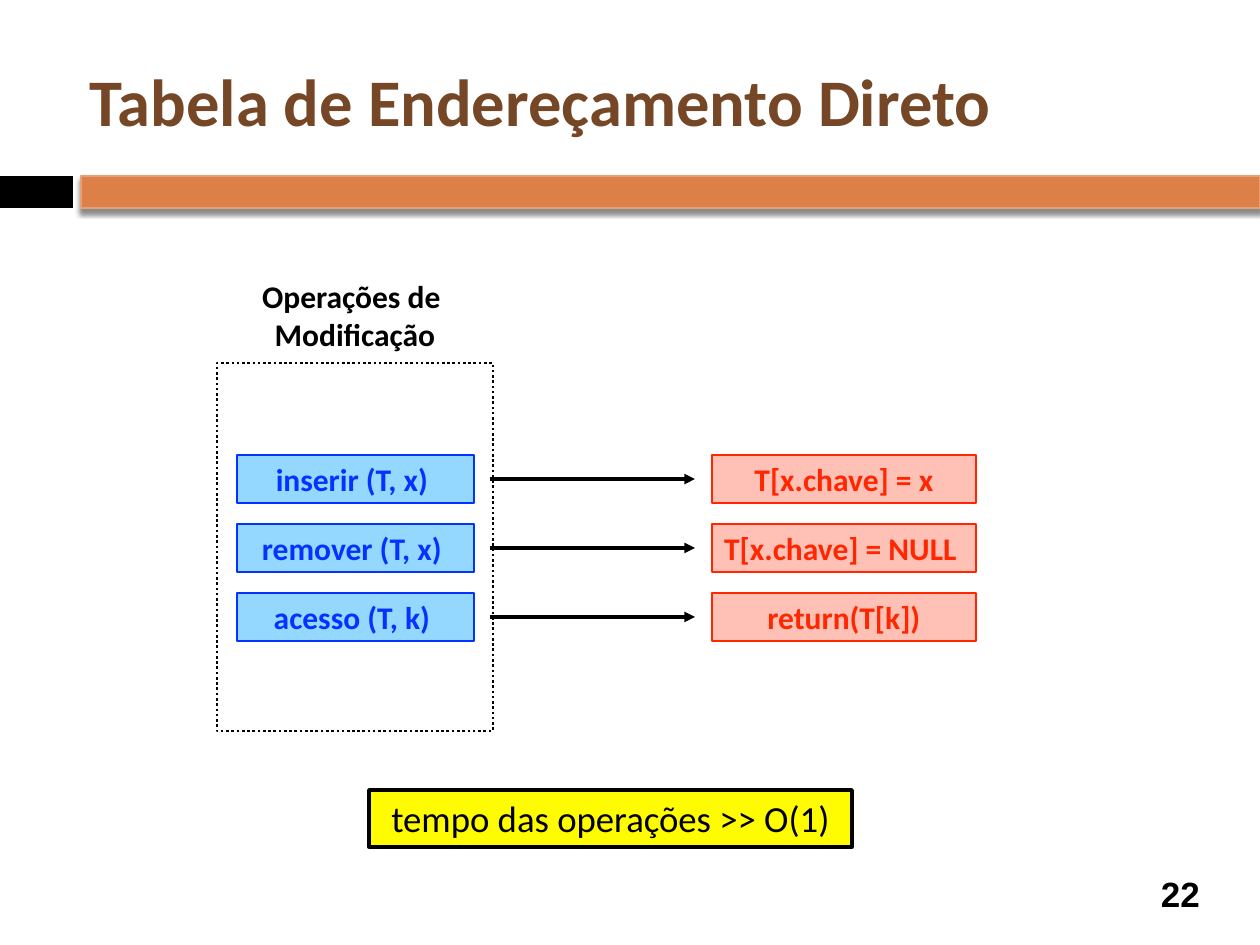
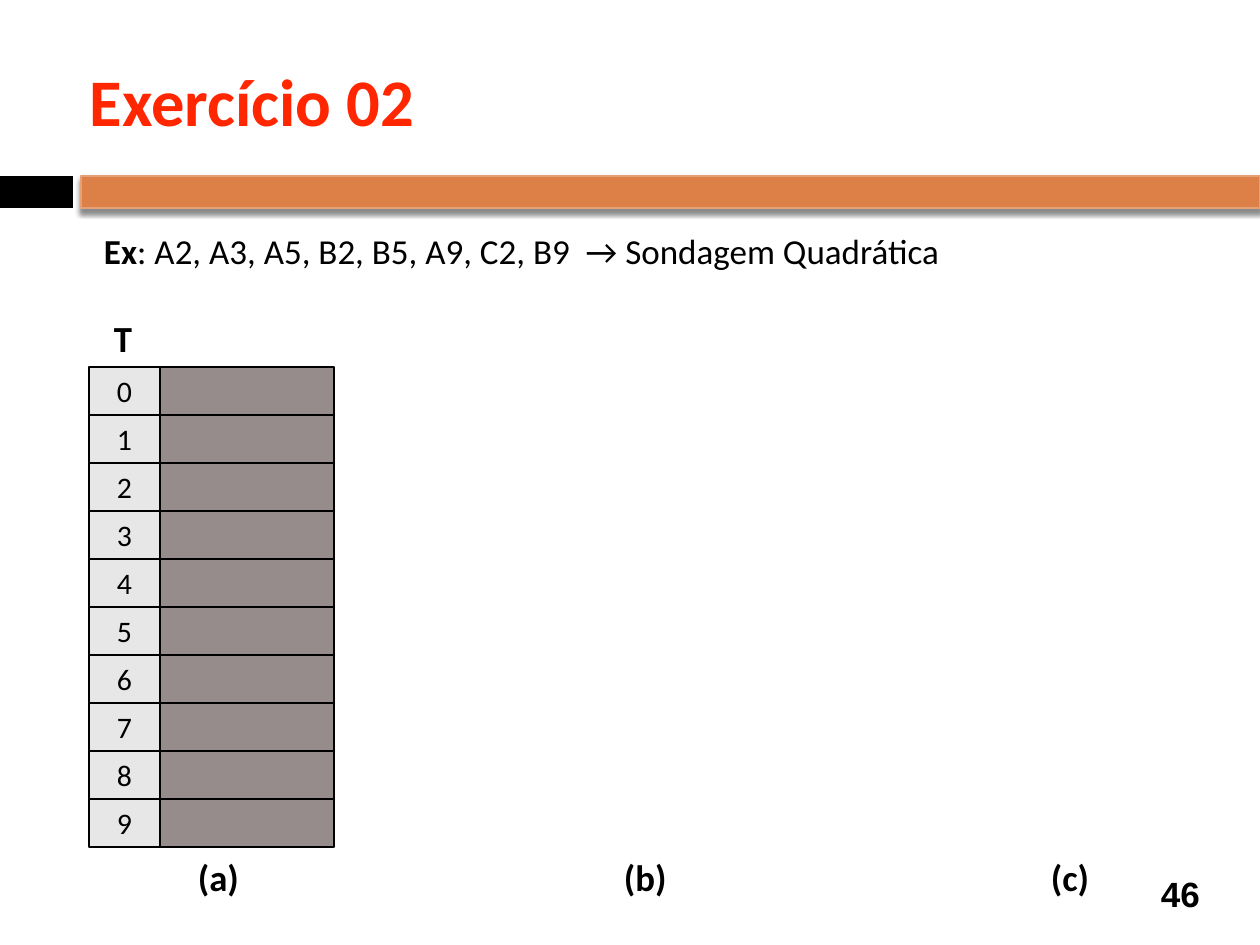
"""Builds two slides on direct-address tables and quadratic probing."""
from lxml.etree import SubElement
from pptx import Presentation
from pptx.dml.color import RGBColor as RGB
from pptx.enum.dml import MSO_LINE
from pptx.enum.shapes import MSO_CONNECTOR as CONN, MSO_SHAPE as SHAPE
from pptx.enum.text import MSO_ANCHOR as ANCHOR, PP_ALIGN as ALIGN
from pptx.oxml.ns import qn
from pptx.util import Pt

PX = 914400 / 126
COLORS = {
    "black": "000000", "band": "DD8047", "band_edge": "E5A075",
    "brown": "754726", "red": "FF2600", "pink": "FFC1B6",
    "blue": "0433FF", "sky": "95D8FF", "yellow": "FFFB00",
    "index": "E7E7E7", "slot": "968C8C",
}
C = {name: RGB.from_string(value) for name, value in COLORS.items()}


def rect(s, at, fill=None, line=None, width=1.5, dash=None):
    sp = s.shapes.add_shape(SHAPE.RECTANGLE, *[round(v * PX) for v in at])
    sp.shadow.inherit = False
    if fill:
        sp.fill.solid()
        sp.fill.fore_color.rgb = C[fill]
    else:
        sp.fill.background()
    if line:
        sp.line.color.rgb = C[line]
        sp.line.width = Pt(width)
        if dash:
            sp.line.dash_style = dash
    else:
        sp.line.fill.background()
    return sp


def write(s, text, at=None, sp=None, size=18, color="black", bold=True, font="Calibri",
          align=ALIGN.CENTER, anchor=ANCHOR.MIDDLE, wrap=True, lead=""):
    sp = sp or s.shapes.add_textbox(*[round(v * PX) for v in at])
    tf = sp.text_frame
    tf.word_wrap = wrap
    tf.vertical_anchor = anchor
    tf.margin_left = tf.margin_right = tf.margin_top = tf.margin_bottom = round(6 * PX)
    for i, line in enumerate(text.split("\n")):
        p = tf.paragraphs[0] if i == 0 else tf.add_paragraph()
        p.alignment = align
        for part, strong in ((lead, True), (line, bold)):
            if part:
                r = p.add_run()
                r.text = part
                r.font.name = font
                r.font.size = Pt(size)
                r.font.bold = strong
                r.font.color.rgb = C[color]


prs = Presentation()
prs.slide_width, prs.slide_height = round(1260 * PX), round(945 * PX)

slides = []
for title, color, number in (("Tabela de Endereçamento Direto", "brown", "22"),
                             ("Exercício 02", "red", "46")):
    s = prs.slides.add_slide(prs.slide_layouts[6])
    rect(s, (0, 176, 73, 32), "black")
    band = rect(s, (81, 176, 1179, 32), "band", "band_edge")
    effects = band._element.spPr.find(qn("a:effectLst"))
    shadow = SubElement(effects, qn("a:outerShdw"), blurRad="38100", dist="30480",
                        dir="5400000", rotWithShape="0")
    tint = SubElement(shadow, qn("a:srgbClr"), val=COLORS["black"])
    SubElement(tint, qn("a:alpha"), val="45000")
    write(s, title, (84, 32, 1124, 136), size=38, color=color, align=ALIGN.LEFT)
    write(s, number, (1144, 868, 73, 52), size=20, font="Arial")
    slides.append(s)

s = slides[0]
rect(s, (217, 363, 276, 368), line="black", dash=MSO_LINE.ROUND_DOT)
write(s, "Operações de \nModificação", (140, 271, 430, 79), anchor=ANCHOR.TOP)
operations = (("inserir (T, x) ", "T[x.chave] = x"),
              ("remover (T, x) ", "T[x.chave] = NULL "),
              ("acesso (T, k) ", "return(T[k])"))
for i, (operation, code) in enumerate(operations):
    y = 455 + 69 * i
    write(s, operation, sp=rect(s, (237, y, 237, 48), "sky", "blue"), color="blue")
    write(s, code, sp=rect(s, (712, y, 264, 48), "pink", "red"), color="red")
    arrow = s.shapes.add_connector(CONN.STRAIGHT,
                                   *[round(v * PX) for v in (490, y + 24, 695, y + 24)])
    arrow.line.color.rgb = C["black"]
    arrow.line.width = Pt(2)
    SubElement(arrow.line._get_or_add_ln(), qn("a:tailEnd"), type="triangle")
    SubElement(arrow._element.spPr, qn("a:effectLst"))
write(s, "tempo das operações >> O(1)", sp=rect(s, (369, 790, 483, 57), "yellow", "black", 2),
      size=21, bold=False, anchor=ANCHOR.TOP)

s = slides[1]
for i in range(10):
    y = 367 + 48 * i
    rect(s, (159, y, 175, 48), "slot", "black")
    write(s, str(i), sp=rect(s, (89, y, 71, 48), "index", "black"), size=17, bold=False)
write(s, ": A2, A3, A5, B2, B5, A9, C2, B9  → Sondagem Quadrática", (98, 223, 885, 54),
      lead="Ex", size=20, bold=False, align=ALIGN.LEFT, anchor=ANCHOR.TOP, wrap=False)
for label, x, y, width in (("T", 108, 310, 32), ("(a)", 192, 849, 57),
                           ("(b)", 618, 849, 57), ("(c)", 1045, 849, 52)):
    write(s, label, (x, y, width, 53), size=21, align=ALIGN.LEFT, anchor=ANCHOR.TOP, wrap=False)

prs.save("out.pptx")
